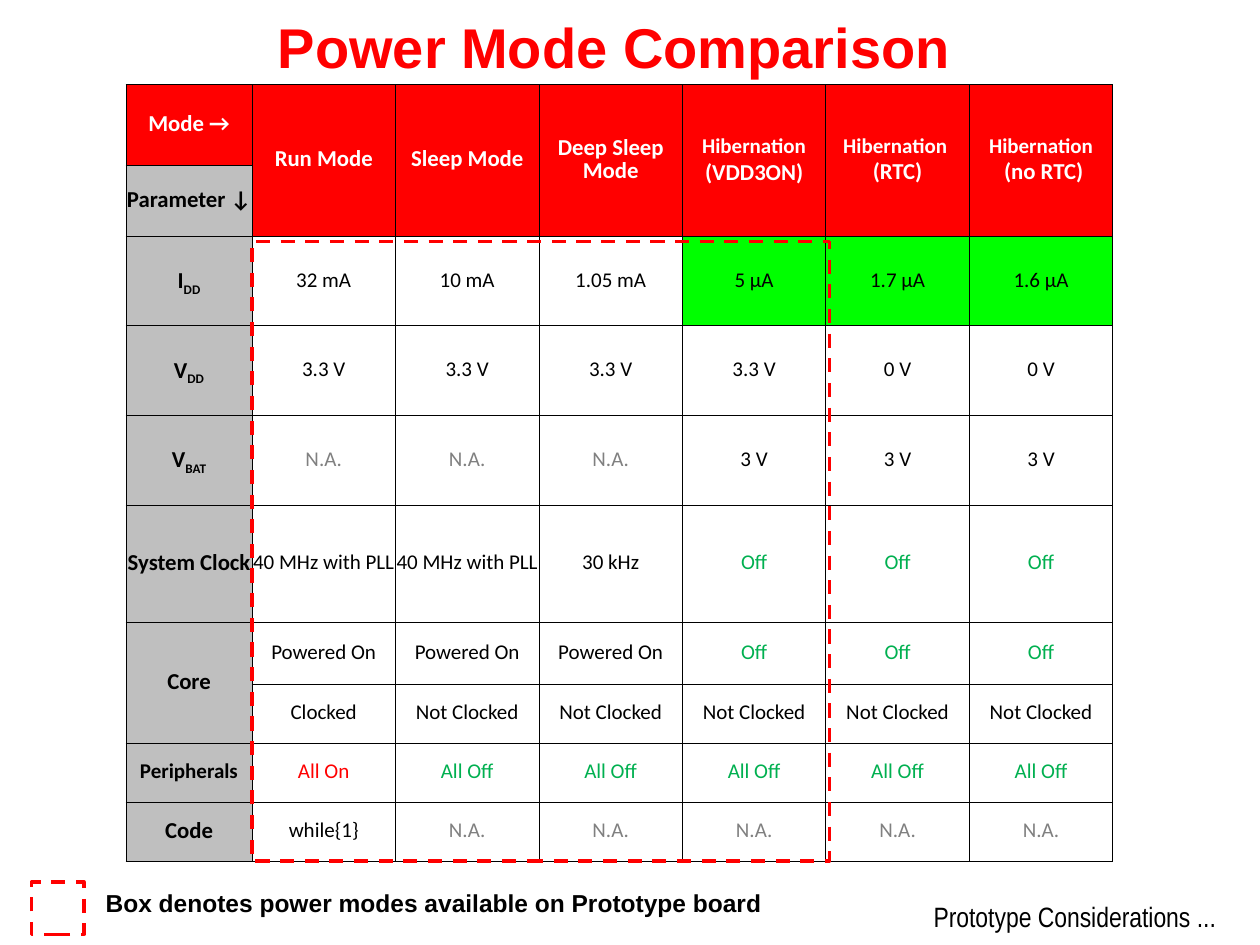
from itertools import product

from lxml import etree
from pptx import Presentation
from pptx.dml.color import RGBColor
from pptx.enum.dml import MSO_LINE
from pptx.enum.shapes import MSO_SHAPE
from pptx.enum.text import MSO_ANCHOR, MSO_AUTO_SIZE, PP_ALIGN
from pptx.oxml.ns import qn
from pptx.util import Pt

CENTER, RIGHT = PP_ALIGN.CENTER, PP_ALIGN.RIGHT
TOP, MIDDLE, BOTTOM = MSO_ANCHOR.TOP, MSO_ANCHOR.MIDDLE, MSO_ANCHOR.BOTTOM
NO_FIT = MSO_AUTO_SIZE.NONE
DASH, RECTANGLE = MSO_LINE.DASH, MSO_SHAPE.RECTANGLE

RED, GREEN, LIME = "FF0000", "00B050", "00FF00"
BLACK, WHITE, GREY, SILVER = "000000", "FFFFFF", "808080", "BFBFBF"

TITLE = "Power Mode Comparison"
LEGEND = "Box denotes power modes available on Prototype board"
NEXT_TOPIC = "Prototype Considerations ..."

# Each paragraph is a list of (text, size, baseline) spans.
HEADERS = [
    [[("Mode →", 13, 0)]],
    [[("Run Mode", 13, 0)]],
    [[("Sleep Mode", 13, 0)]],
    [[("Deep Sleep Mode", 13, 0)]],
    [[("Hibernation ", 12, 0), ("(VDD3ON)", 13, 0)]],
    [[("Hibernation ", 12, 0)], [("(RTC)", 13, 0)]],
    [[("Hibernation", 12, 0)], [(" (no RTC)", 13, 0)]],
]
LABELS = {
    1: [("Parameter ↓", 13, 0)],
    2: [("I", 13, 0), ("DD", 13, -25)],
    3: [("V", 13, 0), ("DD", 13, -25)],
    4: [("V", 13, 0), ("BAT", 13, -25)],
    5: [("System Clock", 13, 0)],
    6: [("Core", 13, 0)],
    8: [("Peripherals", 12, 0)],
    9: [("Code", 13, 0)],
}
VALUES = [
    ["32 mA", "10 mA", "1.05 mA", "5 μA", "1.7 μA", "1.6 μA"],
    ["3.3 V"] * 4 + ["0 V"] * 2,
    ["N.A."] * 3 + ["3 V"] * 3,
    ["40 MHz with PLL"] * 2 + ["30 kHz"] + ["Off"] * 3,
    ["Powered On"] * 3 + ["Off"] * 3,
    ["Clocked"] + ["Not Clocked"] * 5,
    ["All On"] + ["All Off"] * 5,
    ["while{1}"] + ["N.A."] * 5,
]
VALUE_COLORS = {"N.A.": GREY, "Off": GREEN, "All Off": GREEN, "All On": RED}
COLUMN_WIDTHS = [72] + [82] * 6
ROW_HEIGHTS = [46.25, 40.5] + [51.25] * 3 + [67, 35.25] + [33.75] * 3
TABLE_LEFT, TABLE_TOP = 72, 48.25


def color(value):
    """Turn a hex string into a colour."""
    return RGBColor.from_string(value)


def write(frame, paragraphs, font="Calibri", ink=BLACK, bold=False,
          align=CENTER, spacing=0.8, gap=2.5):
    """Fill a text frame with paragraphs of (text, size, baseline) spans."""
    for index, spans in enumerate(paragraphs):
        para = frame.add_paragraph() if index else frame.paragraphs[0]
        para.alignment, para.line_spacing = align, spacing
        para.space_before = Pt(gap if index else 0)
        for text, size, baseline in spans:
            span = para.add_run()
            span.text = text
            span.font.name, span.font.size, span.font.bold = font, Pt(size), bold
            span.font.color.rgb = color(ink)
            if baseline:
                span._r.get_or_add_rPr().set("baseline", str(baseline * 1000))


def style_cell(cell, fill=None):
    """Give a cell thin black borders, no margins and an optional fill."""
    properties = cell._tc.get_or_add_tcPr()
    for side in ("a:lnL", "a:lnR", "a:lnT", "a:lnB"):
        line = etree.SubElement(properties, qn(side), w=str(Pt(0.5)))
        solid = etree.SubElement(line, qn("a:solidFill"))
        etree.SubElement(solid, qn("a:srgbClr"), val=BLACK)
    cell.margin_left = cell.margin_right = cell.margin_top = cell.margin_bottom = 0
    cell.vertical_anchor = MIDDLE
    if fill:
        cell.fill.solid()
        cell.fill.fore_color.rgb = color(fill)
    else:
        cell.fill.background()


def cell_fill(row, column):
    """Choose a cell's fill from its place in the table."""
    if row == 0 or row == 1 and column:
        return RED
    if column == 0:
        return SILVER
    return LIME if row == 2 and column > 3 else None


def add_table(page):
    """Add the comparison table."""
    table = page.shapes.add_table(
        len(ROW_HEIGHTS), len(COLUMN_WIDTHS), Pt(TABLE_LEFT), Pt(TABLE_TOP),
        Pt(sum(COLUMN_WIDTHS)), Pt(sum(ROW_HEIGHTS))).table
    for column, width in zip(table.columns, COLUMN_WIDTHS):
        column.width = Pt(width)
    for row, height in zip(table.rows, ROW_HEIGHTS):
        row.height = Pt(height)
    for row, column in product(range(len(ROW_HEIGHTS)), range(len(COLUMN_WIDTHS))):
        style_cell(table.cell(row, column), cell_fill(row, column))
    for column, paragraphs in enumerate(HEADERS):
        write(table.cell(0, column).text_frame, paragraphs, ink=WHITE, bold=True,
              spacing=1 if column == 4 else 0.8)
        if column:
            table.cell(0, column).merge(table.cell(1, column))
    for row, spans in LABELS.items():
        write(table.cell(row, 0).text_frame, [spans], bold=True)
    table.cell(6, 0).merge(table.cell(7, 0))
    for row, values in enumerate(VALUES, 2):
        for column, value in enumerate(values, 1):
            write(table.cell(row, column).text_frame, [[(value, 12, 0)]],
                  ink=VALUE_COLORS.get(value, BLACK))


def add_dashed_box(page, left, top, width, height):
    """Add an unfilled box with a red dashed outline."""
    box = page.shapes.add_shape(RECTANGLE, Pt(left), Pt(top), Pt(width), Pt(height))
    box.shadow.inherit = False
    box.fill.background()
    box.line.color.rgb = color(RED)
    box.line.width, box.line.dash_style = Pt(2), DASH


def add_note(page, place, text, size, anchor, margins, **style):
    """Add a single line of text that does not wrap."""
    frame = page.shapes.add_textbox(*map(Pt, place)).text_frame
    frame.word_wrap, frame.auto_size, frame.vertical_anchor = False, NO_FIT, anchor
    frame.margin_left = frame.margin_right = Pt(margins[0])
    frame.margin_top = frame.margin_bottom = Pt(margins[1])
    write(frame, [[(text, size, 0)]], **style)


def main():
    """Build the slide and save the deck."""
    deck = Presentation()
    deck.slide_width, deck.slide_height = Pt(720), Pt(540)
    page = deck.slides.add_slide(deck.slide_layouts[5])
    title = page.shapes.title
    title.left, title.top, title.width, title.height = map(Pt, (18, 0, 666, 64))
    frame = title.text_frame
    frame.auto_size, frame.vertical_anchor, frame.margin_top = NO_FIT, TOP, Pt(7)
    write(frame, [[(TITLE, 32, 0)]], font="Arial", ink=RED, bold=True, spacing=1)
    add_table(page)
    add_note(page, (521.5, 517, 173.5, 16), NEXT_TOPIC, 16, BOTTOM, (0, 0),
             font="Arial Narrow", align=RIGHT)
    add_dashed_box(page, 144, 138, 330, 354)
    add_note(page, (47.5, 507, 401, 21), LEGEND, 14, MIDDLE, (7.2, 3.6),
             font="Arial", bold=True)
    add_dashed_box(page, 18, 504, 30, 30)
    deck.save("out.pptx")


if __name__ == "__main__":
    main()
